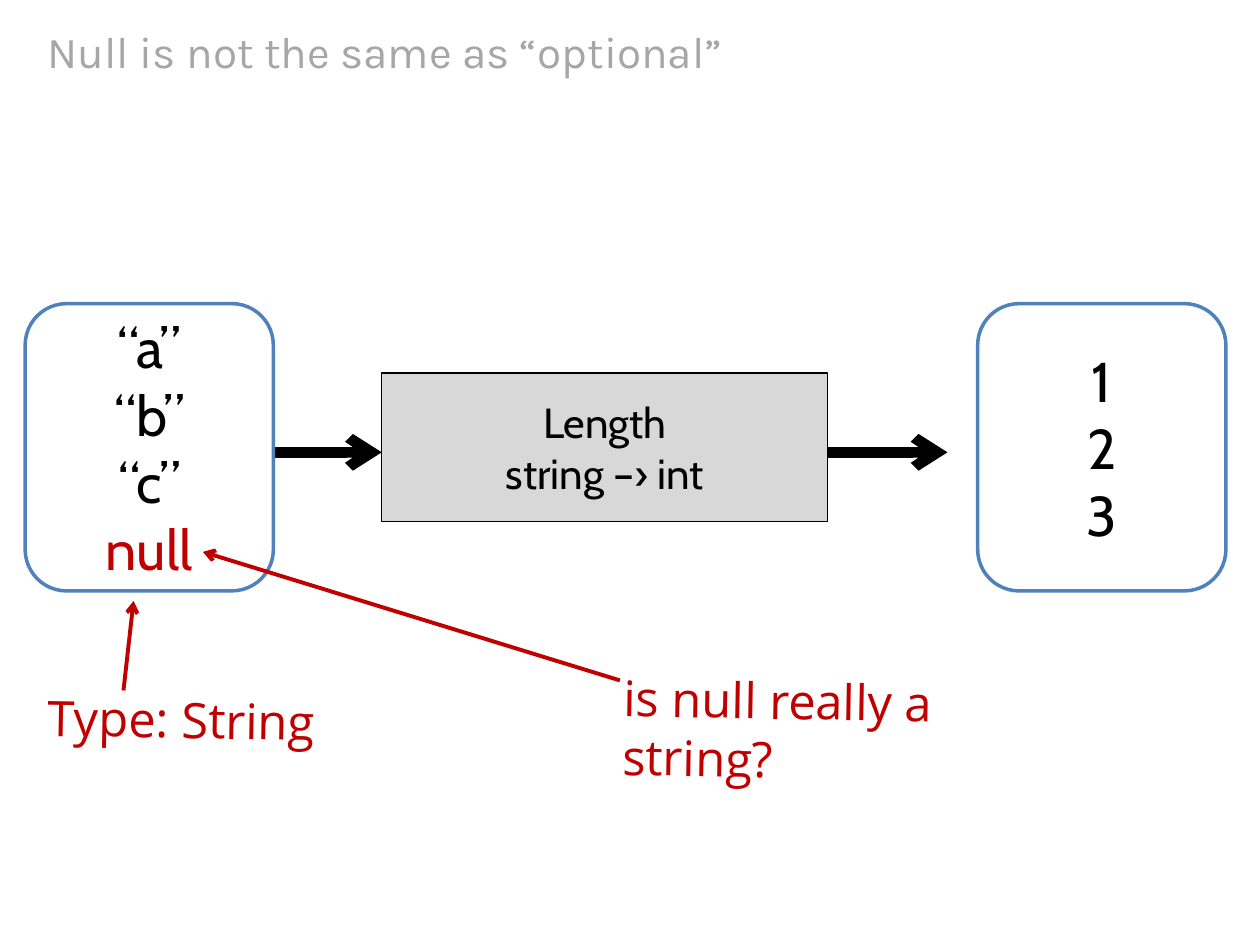
from lxml import etree
from pptx import Presentation
from pptx.dml.color import RGBColor
from pptx.enum.shapes import MSO_CONNECTOR, MSO_SHAPE
from pptx.enum.text import MSO_ANCHOR, MSO_AUTO_SIZE, PP_ALIGN
from pptx.oxml.ns import qn
from pptx.util import Inches, Pt

THEME = {
    "black": "000000", "red": "C00000", "title": "A6A6A6",
    "white": "FFFFFF", "grey": "D8D8D8", "blue": "4F81BD",
    "title_font": "Karla", "diagram_font": "Cabin", "note_font": "Open Sans",
    "title_size": 25.2, "function_size": 24, "value_size": 32, "note_size": 28,
}

# Content
TITLE = "Null is not the same as “optional”"
FUNCTION = ["Length", "string –› int"]
INPUTS = ["“a”", "“b”", "“c”", "null"]
OUTPUTS = ["1", "2", "3"]
# Note text, box, arrow start, arrow end
NOTES = [
    ("is null really a string?", (4.85, 5.28, 3.82, 0.57), (4.92, 5.4), (1.61, 4.38)),
    ("Type: String", (0.28, 5.43, 3.23, 0.57), (0.98, 5.48), (1.06, 4.77)),
]

# Layout: all parts of the flow share one middle line
MIDDLE = 3.55
ARROW_Y = 3.59
SET_SIZE = (1.97, 2.28)
FUNCTION_SIZE = (3.54, 1.18)
INPUT_X, FUNCTION_X, OUTPUT_X = 0.2, 3.03, 7.76
ARROW_LENGTH = 0.95


def color(name):
    return RGBColor.from_string(THEME[name])


def write(shape, lines, style, tint, align, anchor, highlight=None):
    frame = shape.text_frame
    frame.word_wrap = True
    frame.vertical_anchor = anchor
    for i, line in enumerate(lines):
        paragraph = frame.paragraphs[0] if i == 0 else frame.add_paragraph()
        paragraph.alignment = align
        run = paragraph.add_run()
        run.text = line
        font = run.font
        font.name = THEME[style[0]]
        font.size = Pt(THEME[style[1]])
        font.color.rgb = color("red" if line == highlight else tint)


def add_text(box, text, style, tint, anchor):
    shape = slide.shapes.add_textbox(*map(Inches, box))
    write(shape, [text], style, tint, PP_ALIGN.LEFT, anchor)
    return shape


def add_box(kind, x, size, lines, text_size, fill, line, weight):
    width, height = size
    box = (x, MIDDLE - height / 2, width, height)
    shape = slide.shapes.add_shape(kind, *map(Inches, box))
    shape.shadow.inherit = False
    shape.fill.solid()
    shape.fill.fore_color.rgb = color(fill)
    shape.line.color.rgb = color(line)
    shape.line.width = Pt(weight)
    write(shape, lines, ("diagram_font", text_size), "black",
          PP_ALIGN.CENTER, MSO_ANCHOR.MIDDLE, highlight="null")


def add_arrow(start, end, tint, weight):
    arrow = slide.shapes.add_connector(
        MSO_CONNECTOR.STRAIGHT, *map(Inches, (*start, *end)))
    arrow.line.color.rgb = color(tint)
    arrow.line.width = Pt(weight)
    etree.SubElement(arrow.line._get_or_add_ln(), qn("a:tailEnd"), type="arrow")
    etree.SubElement(arrow._element.spPr, qn("a:effectLst"))


prs = Presentation()
prs.slide_width, prs.slide_height = Inches(10), Inches(7.5)
slide = prs.slides.add_slide(prs.slide_layouts[6])

# Title
add_text((0.28, 0.13, 9.45, 0.54), TITLE, ("title_font", "title_size"),
         "title", MSO_ANCHOR.MIDDLE)

# Flow from inputs through the function to outputs
for x in (FUNCTION_X - ARROW_LENGTH, FUNCTION_X + FUNCTION_SIZE[0]):
    add_arrow((x, ARROW_Y), (x + ARROW_LENGTH, ARROW_Y), "black", 6)
add_box(MSO_SHAPE.RECTANGLE, FUNCTION_X, FUNCTION_SIZE, FUNCTION,
        "function_size", "grey", "black", 0.75)
for x, values in ((INPUT_X, INPUTS), (OUTPUT_X, OUTPUTS)):
    add_box(MSO_SHAPE.ROUNDED_RECTANGLE, x, SET_SIZE, values,
            "value_size", "white", "blue", 2)

# Tilted notes with arrows
for text, box, start, end in NOTES:
    note = add_text(box, text, ("note_font", "note_size"), "red", MSO_ANCHOR.TOP)
    note.text_frame.auto_size = MSO_AUTO_SIZE.SHAPE_TO_FIT_TEXT
    note.rotation = 1
    add_arrow(start, end, "red", 2.25)

prs.save("out.pptx")
